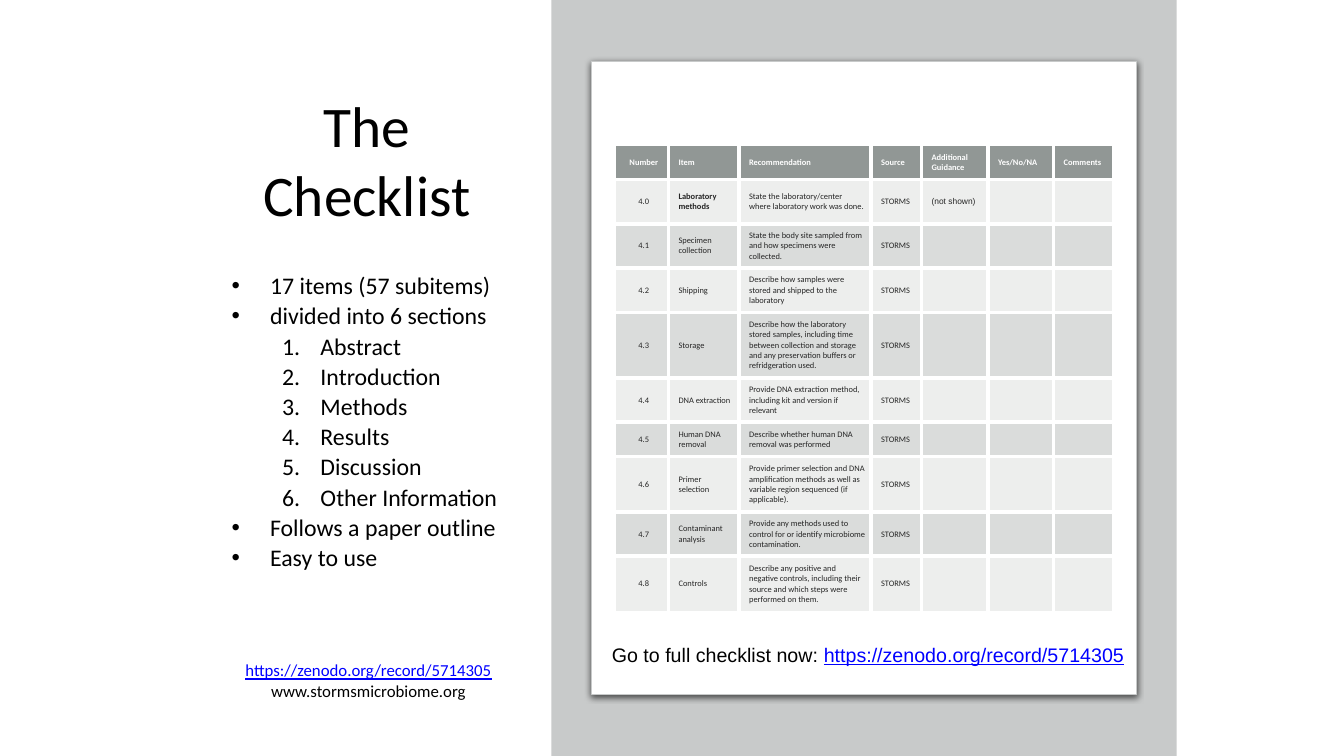
from lxml import etree
from pptx import Presentation
from pptx.dml.color import RGBColor
from pptx.enum.shapes import MSO_SHAPE as SHAPE
from pptx.enum.text import MSO_ANCHOR as ANCHOR, MSO_AUTO_SIZE as AUTO, PP_ALIGN as ALIGN
from pptx.oxml.ns import qn
from pptx.util import Inches, Pt

BLACK = RGBColor(0x00, 0x00, 0x00)
WHITE = RGBColor(0xFF, 0xFF, 0xFF)
INK = RGBColor(0x26, 0x26, 0x26)
LINK = RGBColor(0x00, 0x00, 0xFF)
PANEL = RGBColor(0xC8, 0xCA, 0xCA)
HEADER = RGBColor(0x63, 0x6B, 0x68)
BAND = RGBColor(0x87, 0x8E, 0x8B)

URL = "https://zenodo.org/record/5714305"
SECTIONS = ["Abstract", "Introduction", "Methods", "Results", "Discussion", "Other Information"]
OUTLINE = [
    ("17 items (57 subitems)", 0),
    ("divided into 6 sections", 0),
    *[(section, 1) for section in SECTIONS],
    ("Follows a paper outline", 0),
    ("Easy to use", 0),
]
HEADINGS = ["Number", "Item", "Recommendation", "Source", "Additional Guidance", "Yes/No/NA", "Comments"]
ITEMS = [
    ("Laboratory methods", "State the laboratory/center where laboratory work was done."),
    ("Specimen collection", "State the body site sampled from and how specimens were collected."),
    ("Shipping", "Describe how samples were stored and shipped to the laboratory"),
    ("Storage", "Describe how the laboratory stored samples, including time between collection "
                "and storage and any preservation buffers or refridgeration used."),
    ("DNA extraction", "Provide DNA extraction method, including kit and version if relevant"),
    ("Human DNA removal", "Describe whether human DNA removal was performed"),
    ("Primer selection", "Provide primer selection and DNA amplification methods as well as "
                         "variable region sequenced (if applicable)."),
    ("Contaminant analysis", "Provide any methods used to control for or identify microbiome contamination."),
    ("Controls", "Describe any positive and negative controls, including their source and "
                 "which steps were performed on them."),
]
COL_WIDTHS = [0.53, 0.7, 1.31, 0.5, 0.66, 0.65, 0.59]
ROW_HEIGHTS = [0.34, 0.44, 0.44, 0.44, 0.65, 0.44, 0.34, 0.55, 0.44, 0.55]


def add_xml(parent, tag, **attrs):
    return etree.SubElement(parent, qn(tag), {k: str(v) for k, v in attrs.items()})


def add_text(p, text, size=12, font="Calibri", color=BLACK, bold=False, underline=False, align=None):
    if align is not None:
        p.alignment = align
    r = p.add_run()
    r.text = text
    r.font.size = Pt(size)
    r.font.name = font
    r.font.color.rgb = color
    r.font.bold = bold
    r.font.underline = underline


def add_box(s, left, top, width, height, wrap=False):
    tf = s.shapes.add_textbox(Inches(left), Inches(top), Inches(width), Inches(height)).text_frame
    tf.word_wrap = wrap
    tf.auto_size = AUTO.NONE if wrap else AUTO.SHAPE_TO_FIT_TEXT
    return tf


def add_block(s, kind, left, top, width, height):
    sp = s.shapes.add_shape(kind, Inches(left), Inches(top), Inches(width), Inches(height))
    sp.shadow.inherit = False
    sp.fill.solid()
    sp.line.fill.background()
    return sp


def set_bullet(p, level):
    p.level = level
    pPr = p._p.get_or_add_pPr()
    pPr.set("marL", str(Inches(0.38 + 0.5 * level)))
    pPr.set("indent", str(-Inches(0.38)))
    if level:
        add_xml(pPr, "a:buFont", typeface="+mj-lt")
        add_xml(pPr, "a:buAutoNum", type="arabicPeriod")
    else:
        add_xml(pPr, "a:buFont", typeface="Arial")
        add_xml(pPr, "a:buChar", char="•")


def add_title(s):
    title = s.shapes.title
    title.left, title.top = Inches(2.2), Inches(0.69)
    title.width, title.height = Inches(2.88), Inches(1.77)
    tf = title.text_frame
    tf.auto_size = AUTO.NONE
    tf.vertical_anchor = ANCHOR.MIDDLE
    add_text(tf.paragraphs[0], "The Checklist", size=41, align=ALIGN.CENTER)


def add_outline(s):
    tf = add_box(s, 2.2, 2.67, 2.88, 3.27, wrap=True)
    for i, (text, level) in enumerate(OUTLINE):
        p = tf.add_paragraph() if i else tf.paragraphs[0]
        set_bullet(p, level)
        p.line_spacing = 0.9
        if i:
            p.space_before = Pt(3.2)
        add_text(p, text, size=17)


def add_page(s):
    panel = add_block(s, SHAPE.RECTANGLE, 5.47, 0, 6.2, 7.5)
    panel.fill.fore_color.rgb = PANEL
    page = add_block(s, SHAPE.ROUNDED_RECTANGLE, 5.87, 0.61, 5.4, 6.28)
    page.adjustments[0] = 0
    page.fill.fore_color.rgb = WHITE
    page.line.color.rgb = PANEL
    page.line.width = Pt(0.75)
    effects = page._element.spPr.find(qn("a:effectLst"))
    shadow = add_xml(effects, "a:outerShdw", blurRad=Pt(4.5), dist=Pt(1.5), dir=5400000, rotWithShape=0)
    add_xml(add_xml(shadow, "a:srgbClr", val=BLACK), "a:alpha", val=63000)


def style_cell(cell, color, opacity, sides):
    cell.vertical_anchor = ANCHOR.MIDDLE
    cell.margin_left = Inches(0.1)
    cell.margin_right = cell.margin_top = cell.margin_bottom = Inches(0.06)
    tcPr = cell._tc.get_or_add_tcPr()
    for side in sides:
        line = add_xml(tcPr, f"a:ln{side}", w=Pt(3))
        add_xml(add_xml(line, "a:solidFill"), "a:srgbClr", val=WHITE)
    cell.fill.solid()
    cell.fill.fore_color.rgb = color
    fill = tcPr.find(qn("a:solidFill"))
    add_xml(fill[0], "a:alpha", val=opacity * 1000)


def add_checklist(s):
    rows = [HEADINGS]
    for i, (item, advice) in enumerate(ITEMS):
        rows.append([f"4.{i}", item, advice, "STORMS", "" if i else "(not shown)", "", ""])
    last_row, last_col = len(rows) - 1, len(HEADINGS) - 1
    table = s.shapes.add_table(len(rows), len(HEADINGS), Inches(6.1), Inches(1.44),
                               Inches(sum(COL_WIDTHS)), Inches(sum(ROW_HEIGHTS))).table
    table.horz_banding = False
    for column, width in zip(table.columns, COL_WIDTHS):
        column.width = Inches(width)
    for row, height in zip(table.rows, ROW_HEIGHTS):
        row.height = Inches(height)
    for i, row in enumerate(rows):
        color, opacity = (BAND, 15 if i % 2 else 30) if i else (HEADER, 70)
        for j, text in enumerate(row):
            cell = table.cell(i, j)
            inner = {"L": j > 0, "R": j < last_col, "T": i > 0, "B": i < last_row}
            style_cell(cell, color, opacity, [side for side in inner if inner[side]])
            p = cell.text_frame.paragraphs[0]
            if text:
                add_text(p, text, size=6, color=INK if i else WHITE,
                         font="Arial" if text == "(not shown)" else "Calibri",
                         bold=i == 0 or (i, j) == (1, 1),
                         align=ALIGN.LEFT if j else ALIGN.CENTER)
            else:
                add_xml(p._p, "a:endParaRPr", sz=600)


def add_links(s):
    tf = add_box(s, 2.32, 6.5, 2.67, 0.5)
    add_text(tf.paragraphs[0], URL, color=LINK, underline=True, align=ALIGN.CENTER)
    add_text(tf.add_paragraph(), "www.stormsmicrobiome.org", align=ALIGN.CENTER)
    p = add_box(s, 5.97, 6.33, 5.3, 0.34).paragraphs[0]
    add_text(p, "Go to full checklist now: ", size=14, font="Arial")
    add_text(p, URL, size=14, font="Arial", color=LINK, underline=True)


def main():
    prs = Presentation()
    prs.slide_width, prs.slide_height = Inches(13.33), Inches(7.5)
    s = prs.slides.add_slide(prs.slide_layouts[5])
    add_title(s)
    add_outline(s)
    add_page(s)
    add_checklist(s)
    add_links(s)
    prs.save("out.pptx")


if __name__ == "__main__":
    main()
